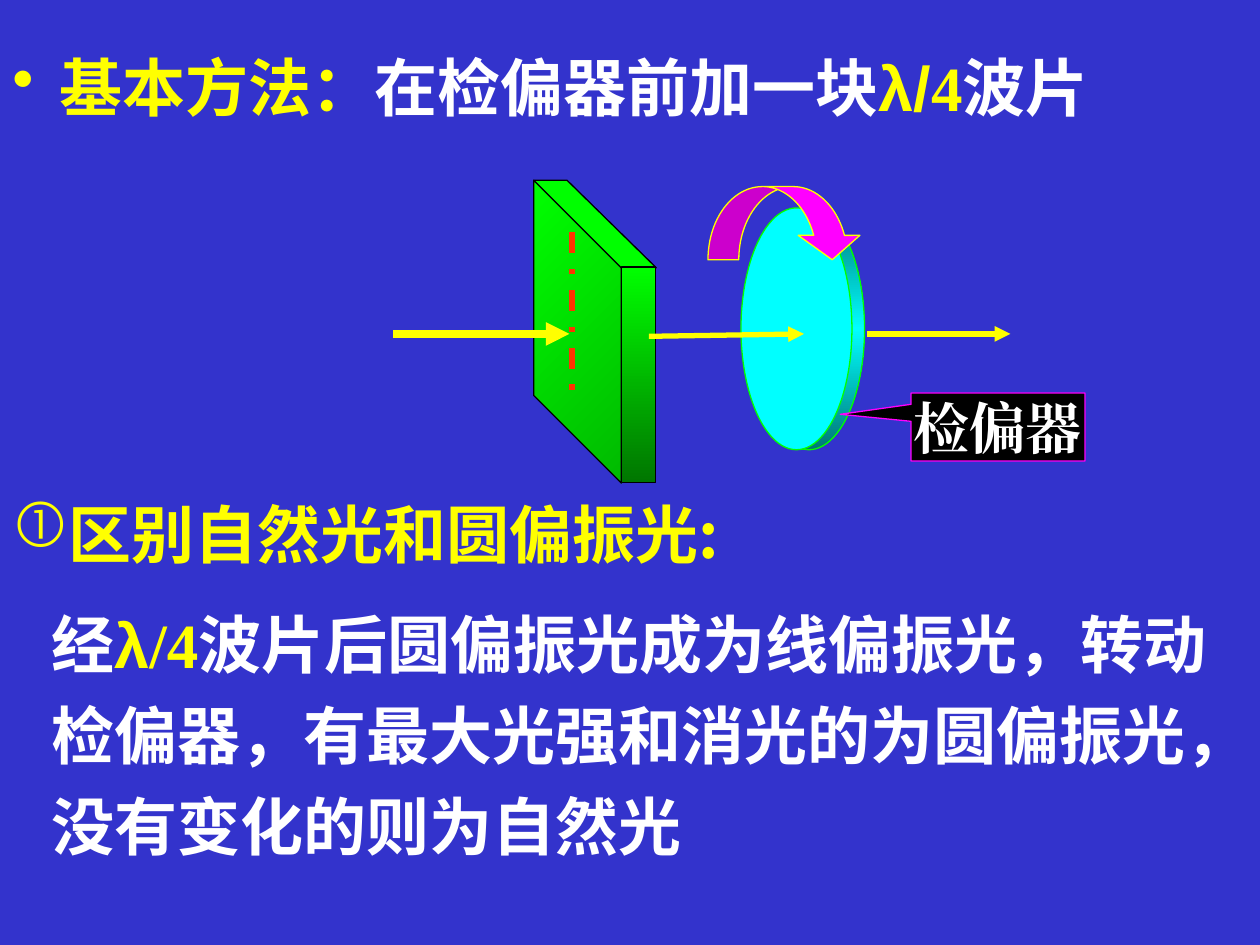
from copy import deepcopy
from lxml import etree
from pptx import Presentation
from pptx.dml import color as col
from pptx.enum import dml, shapes as es, text as et
from pptx.oxml import ns
from pptx.util import Pt

SANS, ROMAN, ARIAL = "Noto Sans CJK SC", "Times New Roman", "Arial"
YELLOW, WHITE, BLACK, LIME = "FFFF00", "FFFFFF", "000000", "00FF00"
KIND = es.MSO_SHAPE


def rgb(code):
    return col.RGBColor.from_string(code)


def apply(obj, vals):
    for key, val in vals.items():
        setattr(obj, key, val)


def sub(node, tag, **vals):
    return etree.SubElement(node, ns.qn(tag), vals)


def shade(shape, stops, angle):
    fill = shape.fill
    fill.gradient()
    fill.gradient_angle = 360 - angle
    group = next(shape._element.spPr.iter(ns.qn("a:gsLst")))
    while len(group) < len(stops):
        group.append(deepcopy(group[-1]))
    for stop, (pos, code) in zip(fill.gradient_stops, stops):
        stop.position = pos
        stop.color.rgb = rgb(code)


def paint(shape, fill, line, angle=90):
    shape.shadow.inherit = False
    if isinstance(fill, str):
        shape.fill.solid()
        shape.fill.fore_color.rgb = rgb(fill)
    else:
        shade(shape, fill, angle)
    shape.line.color.rgb = rgb(line)
    shape.line.width = Pt(0.75)
    return shape


def form(slide, kind, box, fill, line):
    shape = slide.shapes.add_shape(kind, *map(Pt, box))
    return paint(shape, fill, line)


def outline(slide, points, fill, line):
    pen = slide.shapes.build_freeform(*points[0], scale=Pt(1))
    pen.add_line_segments(points[1:], close=True)
    return paint(pen.convert_to_shape(), fill, line, 45)


def stroke(slide, ends, code, width):
    line = slide.shapes.add_connector(es.MSO_CONNECTOR.STRAIGHT, *map(Pt, ends))
    line.line.color.rgb = rgb(code)
    line.line.width = Pt(width)
    sub(line._element.spPr, "a:effectLst")
    return line


def write(para, runs, size=36):
    for words, face, code in runs:
        run = para.add_run()
        run.text = words
        apply(run.font, {"size": Pt(size), "bold": True, "name": face})
        run.font.color.rgb = rgb(code)
        sub(run._r.get_or_add_rPr(), "a:ea", typeface=face)


def passage(slide, box, runs, bullet=None, indent=0, **vals):
    frame = slide.shapes.add_textbox(*map(Pt, box)).text_frame
    frame.word_wrap = True
    para = frame.paragraphs[0]
    apply(para, vals)
    props = para._p.get_or_add_pPr()
    if indent:
        props.set("marL", str(Pt(indent)))
        props.set("indent", str(Pt(-indent)))
    if bullet:
        tint = sub(props, "a:buClr")
        sub(tint, "a:srgbClr", val=YELLOW)
        sub(props, "a:buChar", char=bullet)
    write(para, runs)


def disc(slide, x, y, wide, high):
    rim = [(0, "007676"), (0.5, "00FFFF"), (1, "007676")]
    depth = 7.2
    for left, fill in ((x + depth, rim), (x, "00FFFF")):
        form(slide, KIND.OVAL, (left, y, wide - depth, high), fill, LIME)


def label(slide, box):
    note = form(slide, KIND.RECTANGULAR_CALLOUT, box, BLACK, "FF00FF")
    note.adjustments[0], note.adjustments[1] = -0.907, -0.186
    frame = note.text_frame
    apply(frame, {"word_wrap": False, "vertical_anchor": et.MSO_ANCHOR.MIDDLE})
    para = frame.paragraphs[0]
    para.alignment = et.PP_ALIGN.CENTER
    write(para, [("检偏器", ROMAN, WHITE)], 32)


def plate(slide, x, y, wide, high):
    depth, drop = 19.5, 50
    right, base = x + wide, y + high
    edge = right - depth
    face = [(x, y), (x, base - drop), (edge, base), (edge, y + drop)]
    top = [(x, y), (x + depth, y), (right, y + drop), (edge, y + drop)]
    outline(slide, face, [(0, LIME), (1, "00BA00")], LIME and BLACK)
    outline(slide, top, LIME, BLACK)
    side = (edge, y + drop, depth, high - drop)
    form(slide, KIND.RECTANGLE, side, [(0, LIME), (1, "007600")], BLACK)
    axis = stroke(slide, (x + 22.3, y + 30, x + 22.3, y + 128), "FF3300", 3)
    axis.line.dash_style = dml.MSO_LINE.DASH_DOT


def rays(slide, x, y):
    for start, rise, end, width in (
        (146.2, 1.4, 234.8, 3), (270.8, 0, 352.8, 3), (0, 0, 100.8, 4.5)
    ):
        ray = stroke(slide, (x + start, y + rise, x + end, y), YELLOW, width)
        sub(ray.line._get_or_add_ln(), "a:tailEnd", type="triangle")


def turn(slide, box):
    arrow = form(slide, KIND.CURVED_DOWN_ARROW, box, "FF00FF", YELLOW)
    for i, val in enumerate((0.421, 0.843, 0.333)):
        arrow.adjustments[i] = val


def setup(slide, x, y):
    disc(slide, x + 198.8, y + 16.8, 70.6, 138.2)
    label(slide, (x + 296, y + 122.6, 99.4, 38.9))
    plate(slide, x + 80, y + 0.6, 70, 173)
    rays(slide, x, y + 88.8)
    turn(slide, (x + 180, y + 4.6, 88.6, 41.8))


def main():
    deck = Presentation()
    apply(deck, {"slide_width": Pt(720), "slide_height": Pt(540)})
    slide = deck.slides.add_slide(deck.slide_layouts[6])
    back = slide.background.fill
    back.solid()
    back.fore_color.rgb = rgb("3333CC")
    passage(slide, (0, 24, 720, 118.8), [
        ("基本方法：", SANS, YELLOW), ("在检偏器前加一块", SANS, WHITE),
        ("λ/", ARIAL, YELLOW), ("4", ROMAN, YELLOW), ("波片", SANS, WHITE),
    ], "•", 27, alignment=et.PP_ALIGN.JUSTIFY, space_before=Pt(7.2))
    passage(slide, (0, 279.4, 531.4, 50.4),
            [("区别自然光和圆偏振光:", SANS, YELLOW)], "①")
    setup(slide, 224.6, 102)
    passage(slide, (22.3, 334, 697.7, 162.7), [
        ("经", SANS, WHITE), ("λ", ARIAL, YELLOW), ("/4", ROMAN, YELLOW),
        ("波片后圆偏振光成为线偏振光，转动检偏器，有最大光强和消光的为"
         "圆偏振光，没有变化的则为自然光", SANS, WHITE),
    ], line_spacing=1.2, space_before=Pt(18))
    deck.save("out.pptx")


if __name__ == "__main__":
    main()
